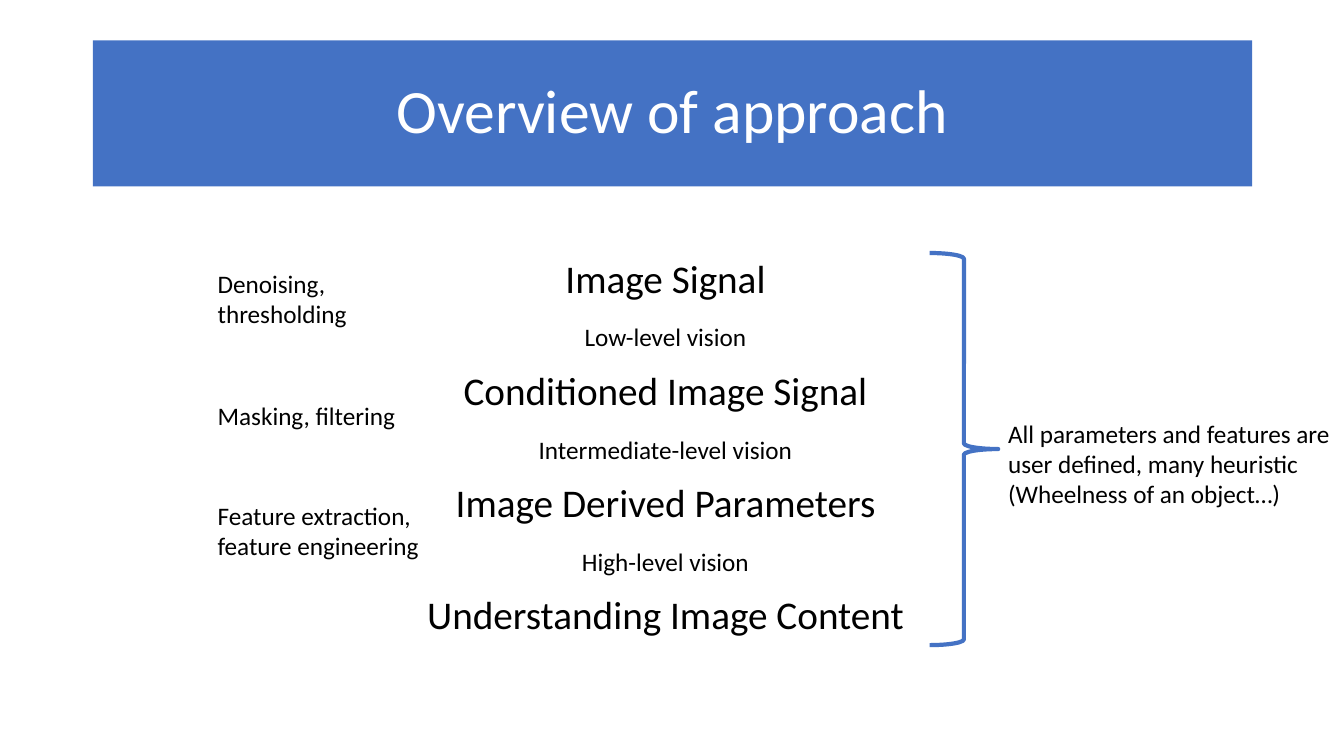
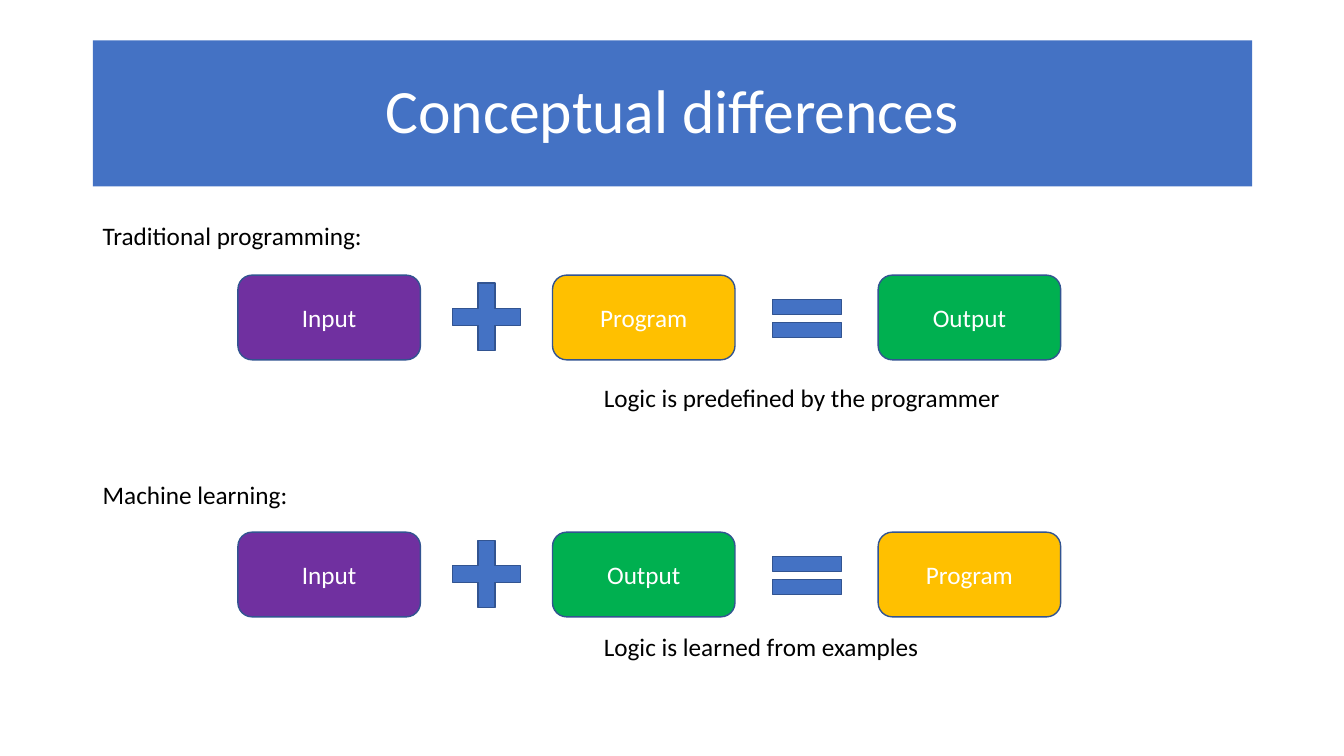
from pptx import Presentation
from pptx.dml.color import RGBColor
from pptx.enum.shapes import MSO_SHAPE as Preset
from pptx.enum.text import MSO_ANCHOR as Anchor, MSO_AUTO_SIZE as AutoSize, PP_ALIGN as Align
from pptx.oxml.xmlchemy import OxmlElement
from pptx.util import Inches, Pt

FONT = "Calibri"
BLUE, OUTLINE = "4472C4", "325491"
WHITE, BLACK = "FFFFFF", "000000"
TITLE_ONLY, TITLE_AND_CONTENT = 5, 1
BLOCK_COLORS = {"Input": "7030A0", "Program": "FFC000", "Output": "00B050"}
BLOCK_LEFTS = (2.36, 5.48, 8.71)
BLOCK_WIDTH, BLOCK_HEIGHT = 1.81, 0.84


def color(hex_value):
    return RGBColor.from_string(hex_value)


def place(shape, left, top, width, height):
    shape.left, shape.top = Inches(left), Inches(top)
    shape.width, shape.height = Inches(width), Inches(height)


def style_text(paragraph, size, hex_value, align=Align.LEFT):
    paragraph.alignment = align
    for run in paragraph.runs:
        run.font.name = FONT
        run.font.size = Pt(size)
        run.font.color.rgb = color(hex_value)


def add_titled_slide(presentation, layout_index, title_text):
    slide = presentation.slides.add_slide(presentation.slide_layouts[layout_index])
    title = slide.shapes.title
    place(title, 0.92, 0.4, 11.5, 1.45)
    title.fill.solid()
    title.fill.fore_color.rgb = color(BLUE)
    frame = title.text_frame
    frame.text = title_text
    frame.auto_size = AutoSize.NONE
    frame.vertical_anchor = Anchor.MIDDLE
    frame.paragraphs[0].line_spacing = 0.9
    style_text(frame.paragraphs[0], 44, WHITE, Align.CENTER)
    return slide


def fill_stages(body, stages):
    place(body, 0.85, 2.53, 11.5, 4.76)
    frame = body.text_frame
    frame.text = "\n".join(stages)
    frame.auto_size = AutoSize.NONE
    for index, paragraph in enumerate(frame.paragraphs):
        properties = paragraph._p.get_or_add_pPr()
        properties.set("marL", "0")
        properties.set("indent", "0")
        properties.append(OxmlElement("a:buNone"))
        paragraph.line_spacing = 0.9
        paragraph.space_before = Pt(49.7 if index else 0)
        style_text(paragraph, 28, BLACK, Align.CENTER)


def add_label(slide, text, left, top, width, height=0.4, align=Align.LEFT):
    label = slide.shapes.add_textbox(Inches(left), Inches(top), Inches(width), Inches(height))
    frame = label.text_frame
    frame.word_wrap = True
    frame.auto_size = AutoSize.SHAPE_TO_FIT_TEXT
    frame.text = text
    style_text(frame.paragraphs[0], 18, BLACK, align)


def add_preset(slide, preset, left, top, width, height, fill=None, line=OUTLINE, line_width=1):
    shape = slide.shapes.add_shape(
        preset, Inches(left), Inches(top), Inches(width), Inches(height))
    shape.shadow.inherit = False
    if fill:
        shape.fill.solid()
        shape.fill.fore_color.rgb = color(fill)
    else:
        shape.fill.background()
    shape.line.color.rgb = color(line)
    shape.line.width = Pt(line_width)
    return shape


def add_equation(slide, names, top):
    for name, left in zip(names, BLOCK_LEFTS):
        block = add_preset(slide, Preset.ROUNDED_RECTANGLE, left, top,
                           BLOCK_WIDTH, BLOCK_HEIGHT, BLOCK_COLORS[name])
        block.text_frame.text = name
        block.text_frame.vertical_anchor = Anchor.MIDDLE
        style_text(block.text_frame.paragraphs[0], 18, WHITE, Align.CENTER)
    plus = add_preset(slide, Preset.CROSS, 4.49, top + 0.08, 0.67, 0.67, BLUE)
    plus.adjustments[0] = 0.372
    add_preset(slide, Preset.MATH_EQUAL, 7.54, top + 0.11, 0.93, 0.64, BLUE)


def build_overview(presentation):
    slide = add_titled_slide(presentation, TITLE_AND_CONTENT, "Overview of approach")
    fill_stages(slide.placeholders[1], (
        "Image Signal", "Conditioned Image Signal",
        "Image Derived Parameters", "Understanding Image Content"))
    for index, level in enumerate(("Low", "Intermediate", "High")):
        add_label(slide, f"{level}-level vision", 5.06, 3.14 + index * 1.115, 3.08,
                  align=Align.CENTER)
    for text, top, width, height in (
            ("Denoising, thresholding", 2.61, 2.05, 0.71),
            ("Masking, filtering", 3.92, 2.05, 0.4),
            ("Feature extraction, feature engineering", 4.91, 2.53, 0.71)):
        add_label(slide, text, 2.06, top, width, height)
    add_preset(slide, Preset.RIGHT_BRACE, 9.22, 2.51, 0.68, 3.89, line=BLUE, line_width=3)
    add_label(slide, "All parameters and features are user defined, many heuristic "
              "(Wheelness of an object…)", 9.9, 4.1, 3.53, 1.01)


def build_differences(presentation):
    slide = add_titled_slide(presentation, TITLE_ONLY, "Conceptual differences")
    for heading, heading_top, names, blocks_top, remark, remark_top in (
            ("Traditional programming:", 2.14, ("Input", "Program", "Output"), 2.73,
             "Logic is predefined by the programmer", 3.74),
            ("Machine learning:", 4.71, ("Input", "Output", "Program"), 5.28,
             "Logic is learned from examples", 6.21)):
        add_label(slide, heading, 0.92, heading_top, 2.86)
        add_equation(slide, names, blocks_top)
        add_label(slide, remark, 5.89, remark_top, 4.41)


def main():
    presentation = Presentation()
    presentation.slide_width = Inches(13.33)
    presentation.slide_height = Inches(7.5)
    build_overview(presentation)
    build_differences(presentation)
    presentation.save("out.pptx")


if __name__ == "__main__":
    main()
